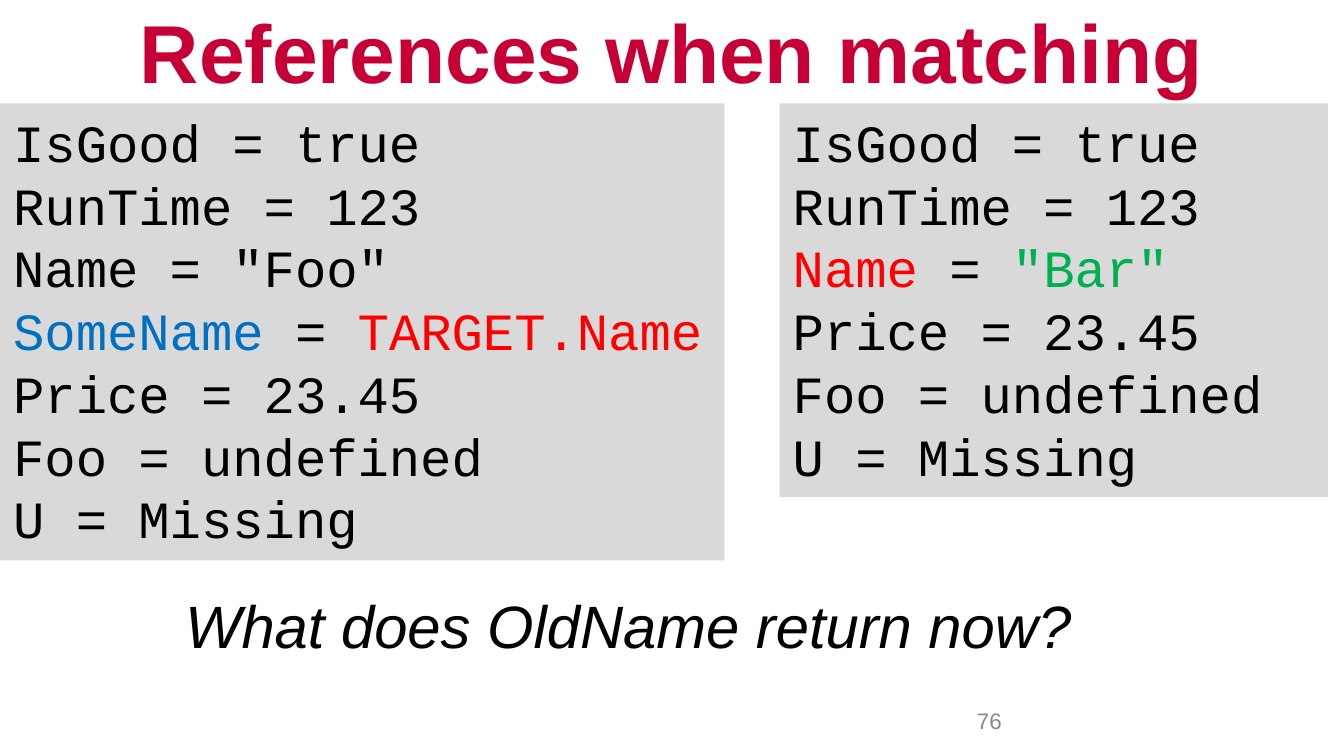
from pptx import Presentation, util as u
from pptx.dml.color import RGBColor
from pptx.enum import shapes as sh, text as tx

BLACK, RED, BLUE, GREEN = "000000", "FF0000", "0070C0", "00B050"
WIDE = 10
HIGH = WIDE * 9 / 16


def rgb(code):
    return RGBColor.from_string(code)


def write(shape, lines, size, font="Arial", color=BLACK, bold=False,
          italic=False, align=tx.PP_ALIGN.LEFT, anchor=tx.MSO_ANCHOR.TOP,
          before=0):
    """Fill a shape; a line is a string or a list of (text, color) runs."""
    frame = shape.text_frame
    frame.word_wrap = True
    frame.vertical_anchor = anchor
    for i, line in enumerate(lines):
        para = frame.paragraphs[0] if i == 0 else frame.add_paragraph()
        para.alignment = align
        para.space_before = u.Pt(before)
        runs = [(line, color)] if isinstance(line, str) else line
        for words, tint in runs:
            run = para.add_run()
            run.text = words
            run.font.size = u.Pt(size)
            run.font.name = font
            run.font.bold = bold
            run.font.italic = italic
            run.font.color.rgb = rgb(tint)


def label(slide, box, words, size, **style):
    shape = slide.shapes.add_textbox(*map(u.Inches, box))
    write(shape, [words], size, **style)


def code(slide, box, lines):
    """Grey panel of monospaced code."""
    panel = slide.shapes.add_shape(sh.MSO_SHAPE.RECTANGLE, *map(u.Inches, box))
    panel.shadow.inherit = False
    panel.fill.solid()
    panel.fill.fore_color.rgb = rgb("D9D9D9")
    panel.line.fill.background()
    write(panel, lines, 28, font="Courier New")
    panel.text_frame.auto_size = tx.MSO_AUTO_SIZE.SHAPE_TO_FIT_TEXT


def main():
    deck = Presentation()
    deck.slide_width, deck.slide_height = u.Inches(WIDE), u.Inches(HIGH)
    slide = deck.slides.add_slide(deck.slide_layouts[6])

    label(slide, (1.28, 4.33, 7.67, 3.04), "What does OldName return now?", 32,
          italic=True, before=6.4)
    label(slide, (0, 0, WIDE, 0.75), "References when matching", 44,
          color="C60036", bold=True, align=tx.PP_ALIGN.CENTER,
          anchor=tx.MSO_ANCHOR.MIDDLE)
    label(slide, (7.17, 5.21, 2.33, 0.3), "76", 12, color="898989",
          anchor=tx.MSO_ANCHOR.MIDDLE)

    head = ["IsGood = true", "RunTime = 123"]
    tail = ["Price = 23.45", "Foo = undefined", "U = Missing"]
    target = [[("Name", RED), (" = ", BLACK), ('"Bar"', GREEN)]]
    source = ['Name = "Foo"',
              [("SomeName", BLUE), (" = ", BLACK), ("TARGET.Name", RED)]]
    code(slide, (5.8, 0.77, 4.08, 2.93), head + target + tail)
    code(slide, (0, 0.77, 5.39, 3.4), head + source + tail)

    deck.save("out.pptx")


if __name__ == "__main__":
    main()
